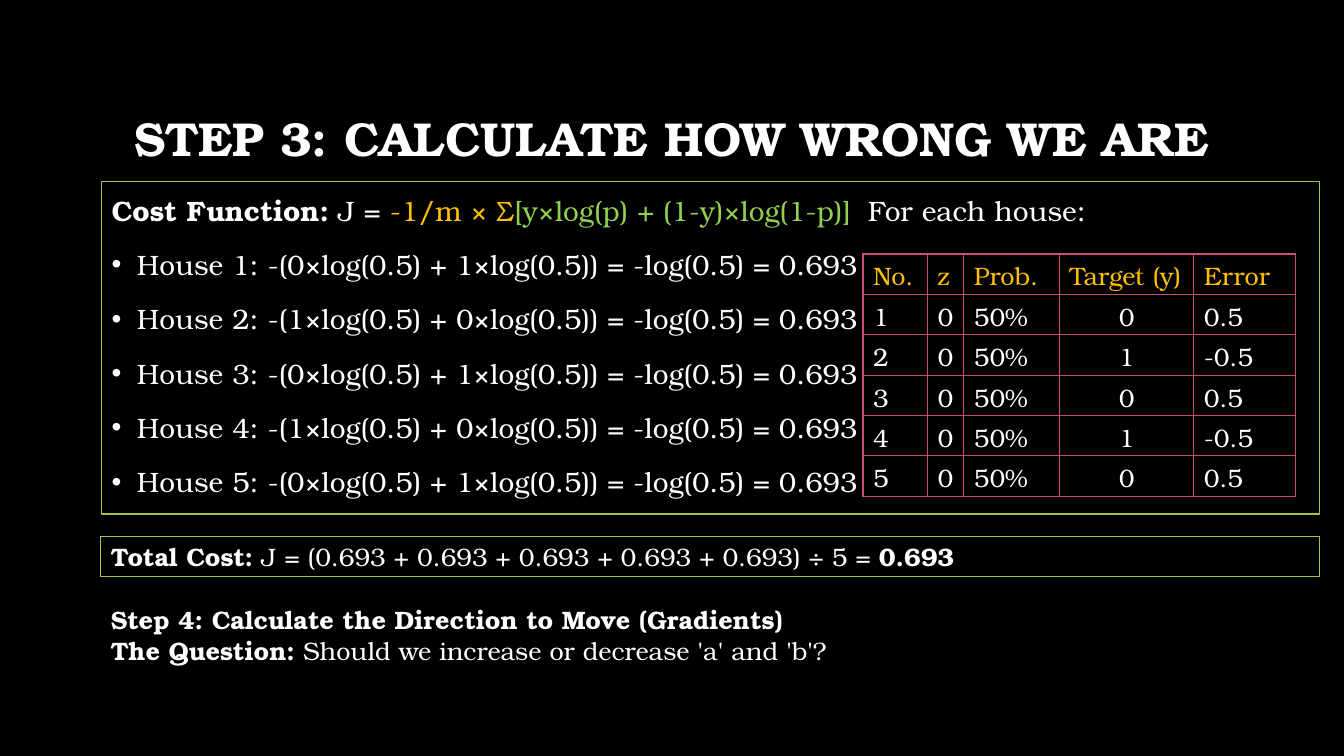
from dataclasses import dataclass

from lxml import etree
from pptx import Presentation
from pptx.dml.color import RGBColor
from pptx.enum.shapes import MSO_SHAPE
from pptx.enum.text import MSO_ANCHOR, PP_ALIGN
from pptx.oxml.ns import qn
from pptx.slide import Slide
from pptx.table import _Cell
from pptx.text.text import TextFrame, _Paragraph
from pptx.util import Inches, Pt

RECTANGLE = MSO_SHAPE.RECTANGLE
MIDDLE, TOP = MSO_ANCHOR.MIDDLE, MSO_ANCHOR.TOP
LEFT, CENTER = PP_ALIGN.LEFT, PP_ALIGN.CENTER

BLACK = RGBColor(0x00, 0x00, 0x00)
WHITE = RGBColor(0xFF, 0xFF, 0xFF)
GOLD = RGBColor(0xFF, 0xC0, 0x00)
LIGHT_GREEN = RGBColor(0x92, 0xD0, 0x50)
FRAME_GREEN = RGBColor(0x9E, 0xC5, 0x44)
ROSE = RGBColor(0xC5, 0x4F, 0x71)
FONT = "TeX Gyre Bonum"

TARGETS = [0, 1, 0, 1, 0]
TABLE_HEADER = ["No.", "z", "Prob.", "Target (y)", "Error"]
COLUMN_WIDTHS = [0.64, 0.36, 0.95, 1.33, 1.01]
ROW_HEIGHT = 0.4
TARGET_COLUMN = 3


@dataclass
class Span:
    text: str
    bold: bool = False
    color: RGBColor = WHITE


@dataclass
class Line:
    spans: list[Span]
    bullet: bool = False


@dataclass
class Panel:
    left: float
    top: float
    width: float
    height: float
    size: float
    lines: list[Line]
    framed: bool = False
    anchor: MSO_ANCHOR = TOP
    align: PP_ALIGN = LEFT
    line_spacing: float = 1.0
    space_before: float = 0


def house_line(number: int, target: int) -> Line:
    cost = f"-({target}×log(0.5) + {1 - target}×log(0.5)) = -log(0.5) = 0.693"
    return Line([Span(f"House {number}: {cost}")], bullet=True)


PANELS = [
    Panel(1, 0.67, 11.32, 1.45, 34,
          [Line([Span("STEP 3: CALCULATE HOW WRONG WE ARE", bold=True)])],
          anchor=MIDDLE, align=CENTER, line_spacing=0.9),
    Panel(1.01, 1.8, 12.08, 3.3, 20,
          [Line([Span("Cost Function:", bold=True), Span(" J = "),
                 Span("-1/m × Σ", color=GOLD),
                 Span("[y×log(p) + (1-y)×log(1-p)] \t", color=LIGHT_GREEN),
                 Span("For each house:")]),
           *(house_line(number, target) for number, target in enumerate(TARGETS, 1))],
          framed=True, line_spacing=1.2, space_before=10),
    Panel(1, 5.32, 12.09, 0.4, 18,
          [Line([Span("Total Cost:", bold=True),
                 Span(" J = (0.693 + 0.693 + 0.693 + 0.693 + 0.693) ÷ 5 = "),
                 Span("0.693", bold=True)])],
          framed=True),
    Panel(1, 5.95, 12.09, 0.71, 18,
          [Line([Span("Step 4: Calculate the Direction to Move (Gradients)", bold=True)]),
           Line([Span("The Question:", bold=True),
                 Span(" Should we increase or decrease 'a' and 'b'?")])]),
]


def add_bullet(para: _Paragraph) -> None:
    properties = para._p.get_or_add_pPr()
    properties.set("marL", str(Inches(0.25)))
    properties.set("indent", str(Inches(-0.25)))
    etree.SubElement(properties, qn("a:buFont"), typeface="Arial")
    etree.SubElement(properties, qn("a:buChar"), char="•")


def add_spans(para: _Paragraph, spans: list[Span], size: float) -> None:
    for span in spans:
        run = para.add_run()
        run.text = span.text
        run.font.name = FONT
        run.font.size = Pt(size)
        run.font.bold = span.bold
        run.font.color.rgb = span.color


def fill_frame(frame: TextFrame, panel: Panel) -> None:
    frame.word_wrap = True
    frame.vertical_anchor = panel.anchor
    for index, line in enumerate(panel.lines):
        para = frame.add_paragraph() if index else frame.paragraphs[0]
        if line.bullet:
            add_bullet(para)
        para.alignment = panel.align
        para.line_spacing = panel.line_spacing
        para.space_before = Pt(panel.space_before if index else 0)
        add_spans(para, line.spans, panel.size)


def add_panel(page: Slide, panel: Panel) -> None:
    place = [Inches(value) for value in (panel.left, panel.top, panel.width, panel.height)]
    if panel.framed:
        box = page.shapes.add_shape(RECTANGLE, *place)
        box.shadow.inherit = False
        box.fill.background()
        box.line.color.rgb = FRAME_GREEN
        box.line.width = Pt(0.75)
    else:
        box = page.shapes.add_textbox(*place)
    fill_frame(box.text_frame, panel)


def set_borders(cell: _Cell) -> None:
    properties = cell._tc.get_or_add_tcPr()
    for side in ("lnL", "lnR", "lnT", "lnB"):
        border = etree.SubElement(properties, qn(f"a:{side}"), w=str(Pt(1)))
        fill = etree.SubElement(border, qn("a:solidFill"))
        etree.SubElement(fill, qn("a:srgbClr"), val=str(ROSE))


def add_error_table(page: Slide) -> None:
    rows = [TABLE_HEADER]
    for number, target in enumerate(TARGETS, 1):
        rows.append([str(number), "0", "50%", str(target), str(0.5 - target)])
    table = page.shapes.add_table(
        len(rows), len(COLUMN_WIDTHS), Inches(8.56), Inches(2.52),
        Inches(sum(COLUMN_WIDTHS)), Inches(ROW_HEIGHT * len(rows))).table
    table.first_row = False
    table.horz_banding = False
    for column, width in zip(table.columns, COLUMN_WIDTHS):
        column.width = Inches(width)
    for row_index, values in enumerate(rows):
        table.rows[row_index].height = Inches(ROW_HEIGHT)
        for column_index, value in enumerate(values):
            cell = table.cell(row_index, column_index)
            set_borders(cell)
            cell.fill.background()
            cell.vertical_anchor = MIDDLE
            para = cell.text_frame.paragraphs[0]
            centered = row_index > 0 and column_index == TARGET_COLUMN
            para.alignment = CENTER if centered else LEFT
            color = WHITE if row_index else GOLD
            add_spans(para, [Span(value, color=color)], 18)


def main() -> None:
    deck = Presentation()
    deck.slide_width = Inches(13.33)
    deck.slide_height = Inches(7.5)
    page = deck.slides.add_slide(deck.slide_layouts[6])
    page.background.fill.solid()
    page.background.fill.fore_color.rgb = BLACK
    for panel in PANELS:
        add_panel(page, panel)
    add_error_table(page)
    deck.save("out.pptx")


if __name__ == "__main__":
    main()
